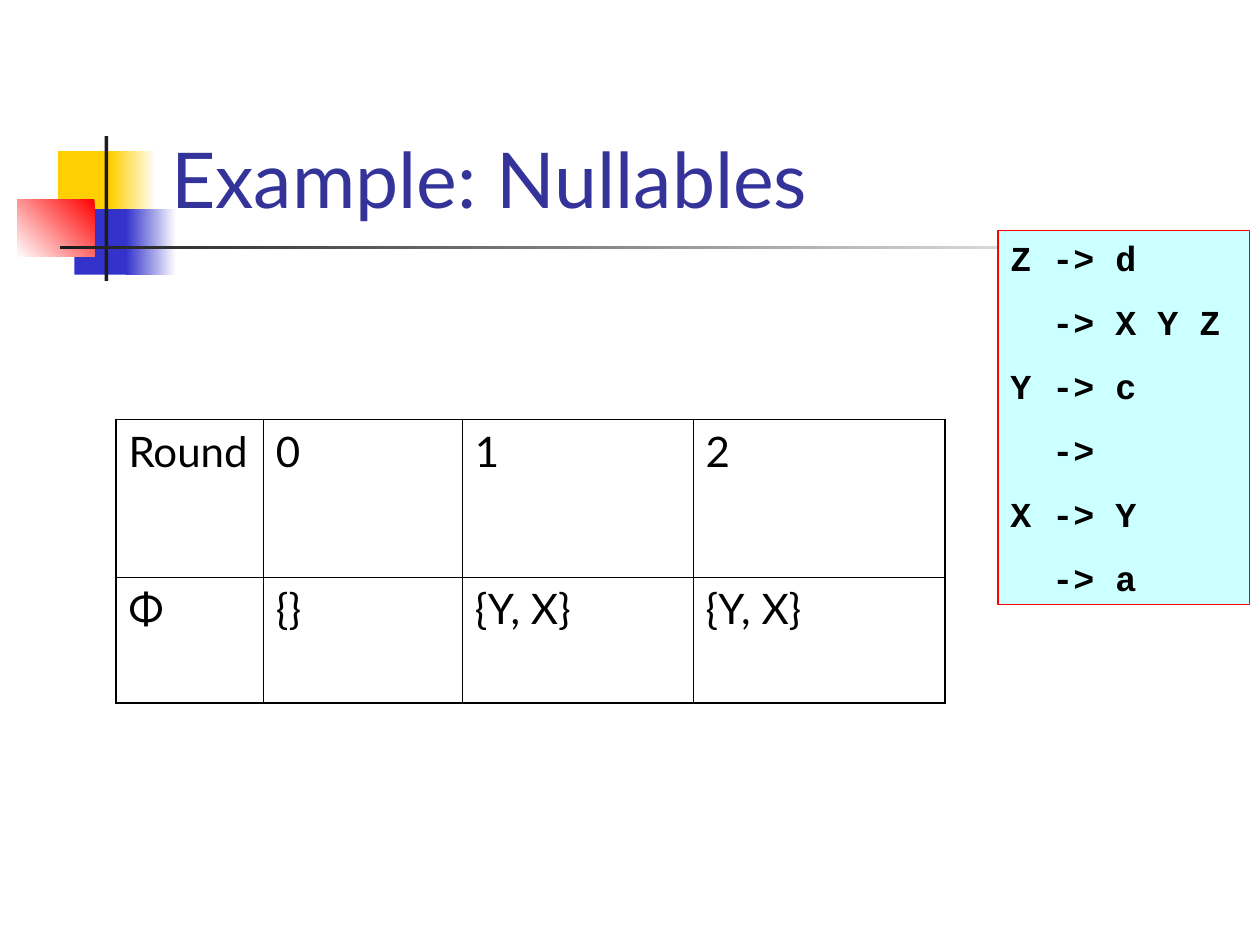
from lxml.etree import SubElement
from pptx import Presentation
from pptx.dml.color import RGBColor
from pptx.enum.shapes import MSO_SHAPE
from pptx.enum.text import MSO_ANCHOR, MSO_AUTO_SIZE
from pptx.oxml.ns import qn
from pptx.util import Inches, Pt

COLORS = {
    "yellow": "FFCF01",
    "blue": "3333CC",
    "red": "FF0000",
    "charcoal": "1C1C1C",
    "white": "FFFFFF",
    "black": "000000",
    "title": "333399",
    "grammar": "CCFFFF",
}
THIN, THICK = 0.45, 1.08
CODE_INDENT = Pt(24)


def color(name):
    return RGBColor.from_string(COLORS[name])


def write_text(paragraph, text, size, font="Lato", fill="black", bold=False,
               space_before=0, indent=0):
    paragraph.space_before = Pt(space_before)
    if indent:
        paragraph._p.get_or_add_pPr().set("marL", str(indent))
    run = paragraph.add_run()
    run.text = text
    run.font.size = Pt(size)
    run.font.name = font
    run.font.bold = bold
    run.font.color.rgb = color(fill)


def add_rectangle(slide, box, fill, fade_to=None, angle=0, line=None):
    shape = slide.shapes.add_shape(
        MSO_SHAPE.RECTANGLE, *[Inches(length) for length in box])
    shape.shadow.inherit = False
    if fade_to:
        shape.fill.gradient()
        shape.fill.gradient_angle = angle
        for stop, name in zip(shape.fill.gradient_stops, (fill, fade_to)):
            stop.color.rgb = color(name)
    else:
        shape.fill.solid()
        shape.fill.fore_color.rgb = color(fill)
    if line:
        shape.line.color.rgb = color(line)
        shape.line.width = Pt(0.75)
    else:
        shape.line.fill.background()
    return shape


def add_ornament(slide):
    add_rectangle(slide, (0.46, 1.2, 0.48, 0.52), "yellow")
    add_rectangle(slide, (0.88, 1.2, 0.36, 0.52), "white", "yellow", 180)
    add_rectangle(slide, (0.59, 1.66, 0.46, 0.52), "blue")
    add_rectangle(slide, (1, 1.66, 0.4, 0.52), "white", "blue", 180)
    add_rectangle(slide, (0.14, 1.58, 0.61, 0.46), "red", "white", 225)
    add_rectangle(slide, (0.83, 1.08, 0.03, 1.15), "charcoal")
    add_rectangle(slide, (0.48, 1.95, 9, 0.03), "white", "charcoal", 180)


def add_title(slide, text):
    title = slide.shapes.add_textbox(
        Inches(1.26), Inches(0.23), Inches(8.52), Inches(1.6))
    frame = title.text_frame
    frame.word_wrap = True
    frame.vertical_anchor = MSO_ANCHOR.BOTTOM
    write_text(frame.paragraphs[0], text, size=44, fill="title")


def add_grammar(slide, productions):
    box = add_rectangle(slide, (7.92, 1.83, 2, 2.97), "grammar", line="red")
    frame = box.text_frame
    frame.word_wrap = True
    frame.auto_size = MSO_AUTO_SIZE.SHAPE_TO_FIT_TEXT
    frame.vertical_anchor = MSO_ANCHOR.TOP
    for index, production in enumerate(productions):
        paragraph = frame.add_paragraph() if index else frame.paragraphs[0]
        paragraph.alignment = 1
        write_text(paragraph, production, size=20, font="Courier New",
                   bold=True, space_before=12.5,
                   indent=CODE_INDENT if production.startswith("->") else 0)


def set_borders(cell, widths):
    properties = cell._tc.get_or_add_tcPr()
    for side, width in widths.items():
        line = SubElement(properties, qn(f"a:ln{side}"), w=str(Pt(width)))
        fill = SubElement(line, qn("a:solidFill"))
        SubElement(fill, qn("a:srgbClr"), val=COLORS["black"])


def add_rounds_table(slide, rows, widths, heights):
    table = slide.shapes.add_table(
        len(rows), len(widths), Inches(0.92), Inches(3.33),
        Inches(sum(widths)), Inches(sum(heights))).table
    table.first_row = False
    table.horz_banding = False
    for column, width in zip(table.columns, widths):
        column.width = Inches(width)
    for row, height in zip(table.rows, heights):
        row.height = Inches(height)
    last_row, last_column = len(rows) - 1, len(widths) - 1
    for r, texts in enumerate(rows):
        for c, text in enumerate(texts):
            cell = table.cell(r, c)
            write_text(cell.text_frame.paragraphs[0], text, size=24,
                       space_before=6)
            set_borders(cell, {
                "L": THICK if c == 0 else THIN,
                "R": THICK if c == last_column else THIN,
                "T": THICK if r == 0 else THIN,
                "B": THICK if r == last_row else THIN,
            })
            cell.fill.background()


def main():
    presentation = Presentation()
    presentation.slide_width = Inches(10)
    presentation.slide_height = Inches(7.5)
    slide = presentation.slides.add_slide(presentation.slide_layouts[6])
    add_ornament(slide)
    add_title(slide, "Example: Nullables")
    add_grammar(slide, ["Z -> d", "-> X Y Z", "Y -> c", "->", "X -> Y", "-> a"])
    add_rounds_table(
        slide,
        rows=[["Round", "0", "1", "2"], ["Φ", "{}", "{Y, X}", "{Y, X}"]],
        widths=[1.17, 1.58, 1.83, 2],
        heights=[1.25, 1])
    presentation.save("out.pptx")


if __name__ == "__main__":
    main()
